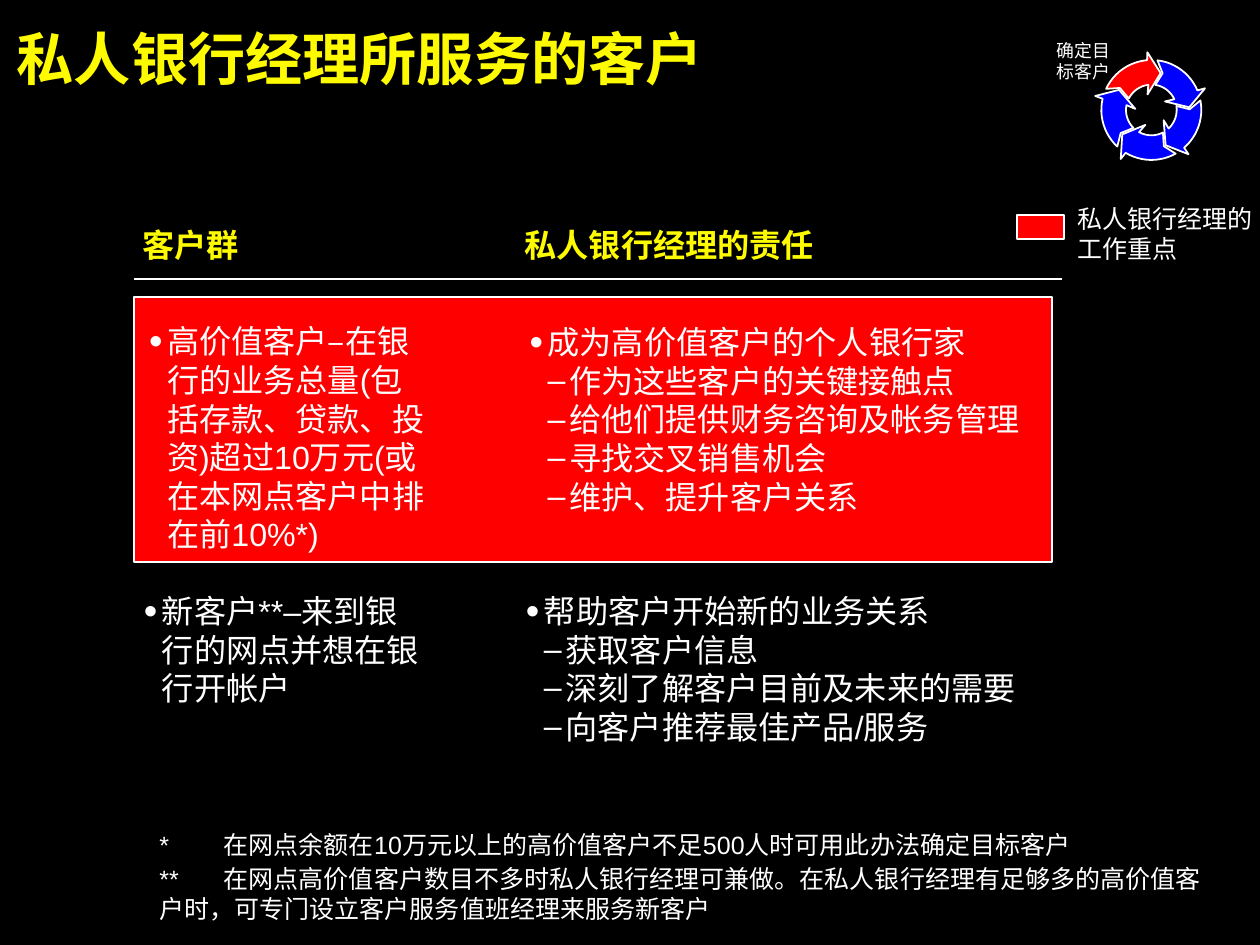
import math
from lxml import etree
from pptx import Presentation
from pptx import util as u
from pptx.dml.color import RGBColor
from pptx.enum import shapes, text
from pptx.oxml import ns

COLORS = {"bg": "000000", "title": "FEFB00", "text": "FFFFFF",
          "focus": "FF0000", "ring": "0000FE"}
FONT = "Arial"
LEVELS = {1: ("•", 120, 10.8, -10.1), 2: ("–", 100, 23, -12.2)}
NOTE_TABS = [(0, "l"), (70.6, "r")] + [(128 + 64 * i, "l") for i in range(6)]


def color(name):
    return RGBColor.from_string(COLORS[name])


def add_run(p, words, size, name="text", bold=False):
    r = p.add_run()
    r.text = words
    r.font.name = FONT
    r.font.size = u.Pt(size)
    r.font.bold = bold
    r.font.color.rgb = color(name)


def set_frame(sp, anchor=text.MSO_ANCHOR.TOP):
    tf = sp.text_frame
    tf.word_wrap = True
    tf.auto_size = text.MSO_AUTO_SIZE.NONE
    tf.vertical_anchor = anchor
    tf.margin_left = tf.margin_top = tf.margin_right = tf.margin_bottom = 0
    return tf


def add_box(s, x, y, w, h, anchor=text.MSO_ANCHOR.TOP):
    return set_frame(s.shapes.add_textbox(u.Pt(x), u.Pt(y), u.Pt(w), u.Pt(h)), anchor)


def add_label(s, x, y, w, h, words, size, name="text", bold=False,
              anchor=text.MSO_ANCHOR.TOP):
    tf = add_box(s, x, y, w, h, anchor)
    add_run(tf.paragraphs[0], words, size, name, bold)


def set_indent(p, left, first):
    pPr = p._p.get_or_add_pPr()
    pPr.set("marL", str(u.Pt(left)))
    pPr.set("indent", str(u.Pt(first)))
    return pPr


def add_element(parent, tag, **attrs):
    return etree.SubElement(parent, ns.qn(tag), attrs)


def add_bullets(s, x, y, w, h, items):
    tf = add_box(s, x, y, w, h)
    for i, words in enumerate(items):
        p = tf.add_paragraph() if i else tf.paragraphs[0]
        p.level = 2 if i else 1
        char, percent, left, first = LEVELS[p.level]
        pPr = set_indent(p, left, first)
        add_element(add_element(pPr, "a:buClr"), "a:srgbClr", val=COLORS["text"])
        add_element(pPr, "a:buSzPct", val=str(percent * 1000))
        add_element(pPr, "a:buFont", typeface=FONT)
        add_element(pPr, "a:buChar", char=char)
        add_run(p, words, 18)


def add_footnotes(s, x, y, w, h, notes):
    tf = add_box(s, x, y, w, h, text.MSO_ANCHOR.BOTTOM)
    for i, (mark, words) in enumerate(notes):
        p = tf.add_paragraph() if i else tf.paragraphs[0]
        pPr = set_indent(p, 81.4, -81.4)
        p.space_after = u.Pt(2)
        tabs = add_element(pPr, "a:tabLst")
        for pos, align in NOTE_TABS:
            add_element(tabs, "a:tab", pos=str(u.Pt(pos)), algn=align)
        add_run(p, f"\t{mark}\t{words}", 14)


def style(sp, fill):
    sp.shadow.inherit = False
    sp.fill.solid()
    sp.fill.fore_color.rgb = color(fill)
    sp.line.color.rgb = color("text")
    sp.line.width = u.Pt(1)


def add_rect(s, x, y, w, h, fill):
    sp = s.shapes.add_shape(shapes.MSO_SHAPE.RECTANGLE, u.Pt(x), u.Pt(y), u.Pt(w), u.Pt(h))
    style(sp, fill)


def add_rule(s, x1, x2, y):
    c = s.shapes.add_connector(shapes.MSO_CONNECTOR.STRAIGHT,
                               u.Pt(x1), u.Pt(y), u.Pt(x2), u.Pt(y))
    c.line.color.rgb = color("text")
    c.line.width = u.Pt(1)
    add_element(c._element.spPr, "a:effectLst")


def add_ring_arrow(s, cx, cy, turn, fill):
    outer = [(28, a) for a in range(-65, -4, 5)]
    inner = [(14.2, a) for a in range(-7, -64, -7)]
    head = [(32.4, -4), (21.3, 14), (9, -14)]
    points = []
    for radius, angle in outer + head + inner + [(21.5, -55)]:
        a = math.radians(angle + turn)
        points.append((u.Pt(cx + radius * math.sin(a)), u.Pt(cy - radius * math.cos(a))))
    builder = s.shapes.build_freeform(*points[0])
    builder.add_line_segments(points[1:], close=True)
    style(builder.convert_to_shape(), fill)


def add_title(s, words):
    sp = s.shapes.title
    sp.left, sp.top, sp.width, sp.height = (u.Pt(v) for v in (9.4, 13, 683.3, 38.2))
    p = set_frame(sp).paragraphs[0]
    p.alignment = text.PP_ALIGN.LEFT
    add_run(p, words, 32, "title", True)


def main():
    prs = Presentation()
    prs.slide_width, prs.slide_height = u.Pt(705.6), u.Pt(529.2)
    s = prs.slides.add_slide(prs.slide_layouts[5])
    s.background.fill.solid()
    s.background.fill.fore_color.rgb = color("bg")

    add_title(s, "私人银行经理所服务的客户")
    add_rect(s, 74.9, 166.3, 514.1, 148.3, "focus")
    add_label(s, 79.9, 126, 162, 21.6, "客户群", 18, "title", True)
    add_label(s, 293.8, 126, 264.2, 21.6, "私人银行经理的责任", 18, "title", True)
    add_rule(s, 74.9, 594.7, 156.2)

    add_bullets(s, 82.8, 180.2, 160.6, 129.6, [
        "高价值客户–在银行的业务总量(包括存款、贷款、投资)超过10万元(或在本网点客户中排在前10%*)"])
    add_bullets(s, 295.9, 180.7, 345.6, 108, [
        "成为高价值客户的个人银行家", "作为这些客户的关键接触点",
        "给他们提供财务咨询及帐务管理", "寻找交叉销售机会", "维护、提升客户关系"])
    add_bullets(s, 79.9, 331.2, 160.6, 64.8, ["新客户**–来到银行的网点并想在银行开帐户"])
    add_bullets(s, 293.8, 331.2, 345.6, 86.4, [
        "帮助客户开始新的业务关系", "获取客户信息",
        "深刻了解客户目前及未来的需要", "向客户推荐最佳产品/服务"])

    add_rect(s, 569.5, 120.2, 26.6, 13.7, "focus")
    add_label(s, 603.4, 113.8, 102.2, 33.8, "私人银行经理的工作重点", 14)
    add_footnotes(s, 7.9, 463, 678.2, 54, [
        ("*", "在网点余额在10万元以上的高价值客户不足500人时可用此办法确定目标客户"),
        ("**", "在网点高价值客户数目不多时私人银行经理可兼做。在私人银行经理有足够多的高价值客户时，"
               "可专门设立客户服务值班经理来服务新客户")])

    for i in range(5):
        add_ring_arrow(s, 644.8, 61.6, 72 * i, "ring" if i else "focus")
    add_label(s, 591.8, 22.3, 35.3, 23.8, "确定目标客户", 10, anchor=text.MSO_ANCHOR.MIDDLE)
    prs.save("out.pptx")


if __name__ == "__main__":
    main()
